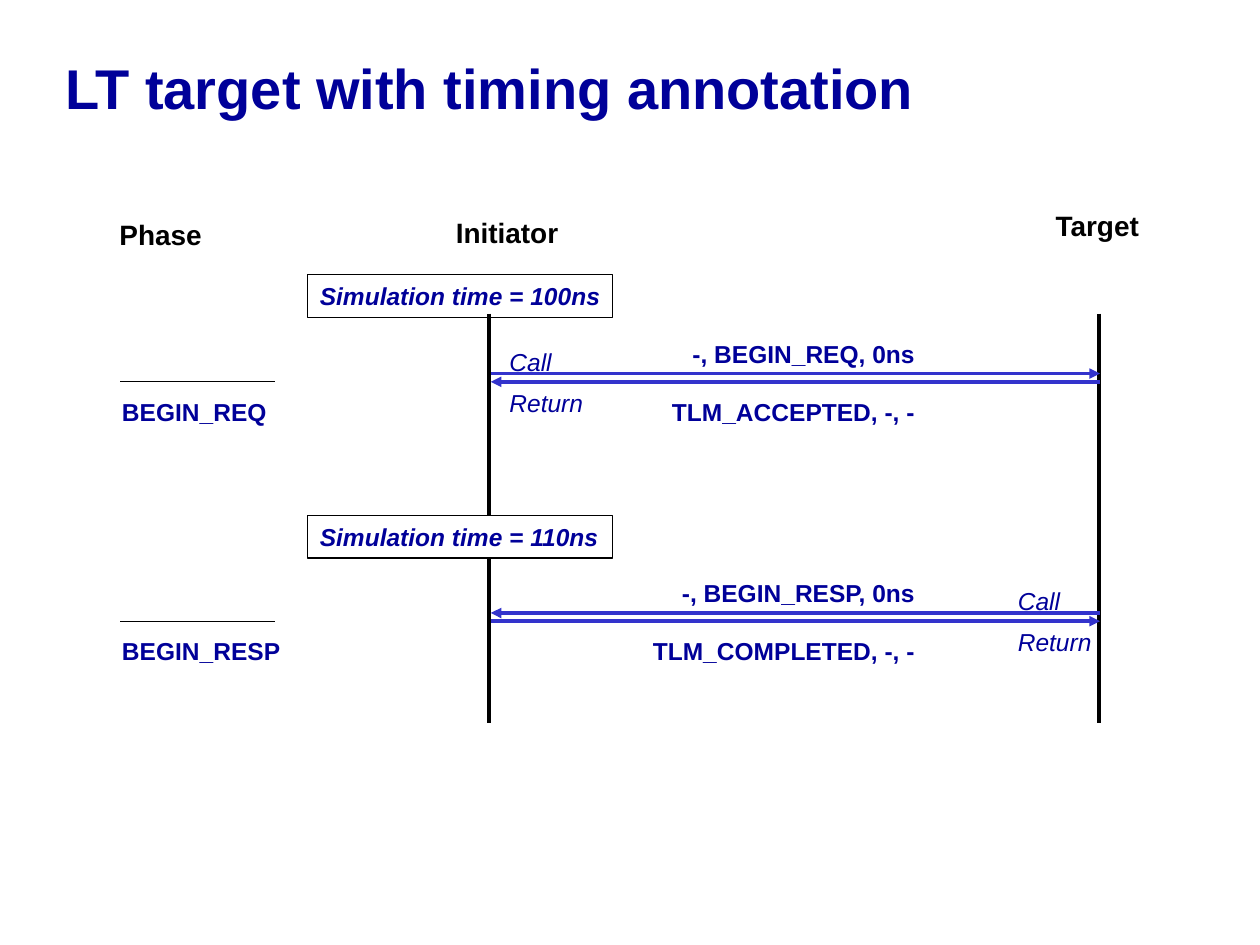
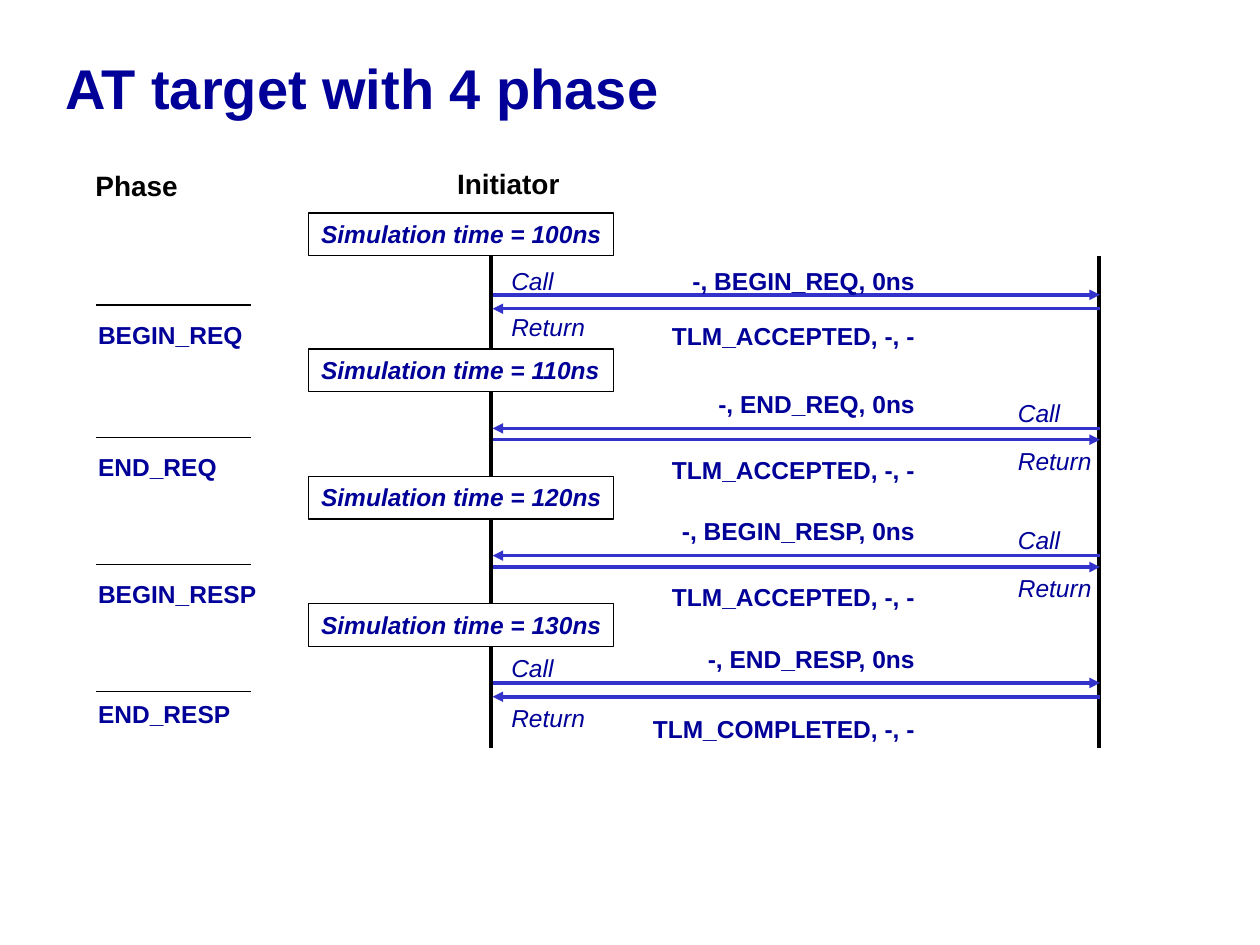
from dataclasses import dataclass

from pptx import Presentation
from pptx.dml.color import RGBColor
from pptx.enum.shapes import MSO_CONNECTOR, MSO_SHAPE
from pptx.enum.text import MSO_ANCHOR, PP_ALIGN
from pptx.oxml.ns import qn
from pptx.oxml.xmlchemy import OxmlElement
from pptx.util import Inches, Pt

NAVY = RGBColor(0x00, 0x00, 0x99)
ARROW_BLUE = RGBColor(0x33, 0x33, 0xCC)
BLACK = RGBColor(0x00, 0x00, 0x00)
WHITE = RGBColor(0xFF, 0xFF, 0xFF)
FONT = "Arial"

# The grid: 100 columns by 75 rows fill the slide.
SLIDE_WIDTH, SLIDE_HEIGHT = Inches(10), Inches(7.5)
COLUMN, ROW = SLIDE_WIDTH / 100, SLIDE_HEIGHT / 75

TARGET_X = 87.2
ARROW_RIGHT = 87.3
TARGET_LABEL_X = 79.8
MESSAGE_RIGHT = 73.6
MESSAGE_WIDTH = 26
RULE_WIDTH = 12.3
TEXT_HEIGHT = 3.4
HEADING_HEIGHT = 3.7


@dataclass
class Exchange:
    """A call with its return; the drops and lifts are rows from an arrow."""
    phase: str
    message: str
    reply: str
    call_y: float
    from_target: bool = False
    gap: float = 0.9
    message_lift: float = 3.6
    call_lift: float = 2.9
    reply_drop: float = 0.7
    return_drop: float = 0
    rule_drop: float = 0.7
    phase_drop: float = 0.7


@dataclass
class Sequence:
    """The places of one diagram, in columns and rows."""
    initiator_x: float
    rule_x: float
    top: float
    bottom: float
    time_x: float


def columns(count):
    return round(count * COLUMN)


def rows(count):
    return round(count * ROW)


def grid_rect(left, top, width, height):
    return columns(left), rows(top), columns(width), rows(height)


def write(frame, text, size=14, color=NAVY, bold=False, italic=False,
          align=PP_ALIGN.LEFT, anchor=MSO_ANCHOR.TOP, wrap=True, spacing=None):
    frame.word_wrap = wrap
    frame.vertical_anchor = anchor
    para = frame.paragraphs[0]
    para.alignment = align
    if spacing:
        para.line_spacing = spacing
    span = para.add_run()
    span.text = text
    font = span.font
    font.name, font.size, font.bold, font.italic = FONT, Pt(size), bold, italic
    font.color.rgb = color


def add_text(page, text, left, top, width, height=TEXT_HEIGHT, **style):
    box = page.shapes.add_textbox(*grid_rect(left, top, width, height))
    write(box.text_frame, text, **style)


def add_heading(page, text, left, top):
    add_text(page, text, left, top, 13, HEADING_HEIGHT,
             size=16, color=BLACK, bold=True)


def add_line(page, start, end, color=BLACK, weight=0.75, arrow=False):
    line = page.shapes.add_connector(
        MSO_CONNECTOR.STRAIGHT, columns(start[0]), rows(start[1]),
        columns(end[0]), rows(end[1]))
    line.line.color.rgb = color
    line.line.width = Pt(weight)
    properties = line._element.spPr
    if arrow:
        head = OxmlElement("a:tailEnd")
        head.set("type", "triangle")
        properties.find(qn("a:ln")).append(head)
    properties.append(OxmlElement("a:effectLst"))


def add_time(page, nanoseconds, left, top, filled):
    box = page.shapes.add_shape(MSO_SHAPE.RECTANGLE,
                                *grid_rect(left, top, 24.2, TEXT_HEIGHT))
    box.shadow.inherit = False
    if filled:
        box.fill.solid()
        box.fill.fore_color.rgb = WHITE
    else:
        box.fill.background()
    box.line.color.rgb = BLACK
    box.line.width = Pt(0.75)
    write(box.text_frame, f"Simulation time = {nanoseconds}ns",
          bold=True, italic=True, wrap=False)


def add_exchange(page, sequence, exchange):
    call_y = exchange.call_y
    return_y = call_y + exchange.gap
    rule_y = call_y + exchange.rule_drop
    rule_x = sequence.rule_x

    add_line(page, (rule_x + RULE_WIDTH, rule_y), (rule_x, rule_y))
    add_text(page, exchange.phase, rule_x - 0.8, rule_y + exchange.phase_drop,
             16, bold=True)

    caller_x, callee_x = sequence.initiator_x + 0.15, ARROW_RIGHT
    label_x = sequence.initiator_x + 0.65
    if exchange.from_target:
        caller_x, callee_x = callee_x, caller_x
        label_x = TARGET_LABEL_X
    for y, start_x, end_x in ((call_y, caller_x, callee_x),
                              (return_y, callee_x, caller_x)):
        add_line(page, (start_x, y), (end_x, y), ARROW_BLUE, 2, arrow=True)

    for text, top in ((exchange.message, call_y - exchange.message_lift),
                      (exchange.reply, return_y + exchange.reply_drop)):
        add_text(page, text, MESSAGE_RIGHT - MESSAGE_WIDTH, top, MESSAGE_WIDTH,
                 bold=True, align=PP_ALIGN.RIGHT)
    for text, top in (("Call", call_y - exchange.call_lift),
                      ("Return", return_y + exchange.return_drop)):
        add_text(page, text, label_x, top, 9, italic=True)


def add_sequence_page(deck, title, sequence, headings, times, exchanges):
    """Headings are (text, left, top); times are (nanoseconds, top, filled)."""
    page = deck.slides.add_slide(deck.slide_layouts[6])
    add_text(page, title, 4.2, 3, 90, 8.7, size=32, bold=True,
             anchor=MSO_ANCHOR.MIDDLE, spacing=0.85)
    for x in (sequence.initiator_x, TARGET_X):
        add_line(page, (x, sequence.top), (x, sequence.bottom), weight=2.25)
    for heading in headings:
        add_heading(page, *heading)
    for exchange in exchanges:
        add_exchange(page, sequence, exchange)
    for nanoseconds, top, filled in times:
        add_time(page, nanoseconds, sequence.time_x, top, filled)


def main():
    deck = Presentation()
    deck.slide_width, deck.slide_height = SLIDE_WIDTH, SLIDE_HEIGHT

    close_arrows = dict(gap=0.65, message_lift=3.25, call_lift=2.6,
                        rule_drop=0.65)
    add_sequence_page(
        deck, "LT target with timing annotation",
        Sequence(initiator_x=38.8, rule_x=9.5, top=24.9, bottom=57.4,
                 time_x=24.4),
        [("Phase", 8.5, 16.8), ("Initiator", 35.2, 16.6),
         ("Target", 82.8, 16.1)],
        [(100, 21.8, False), (110, 40.9, True)],
        [Exchange("BEGIN_REQ", "-, BEGIN_REQ, 0ns", "TLM_ACCEPTED, -, -",
                  29.65, **close_arrows),
         Exchange("BEGIN_RESP", "-, BEGIN_RESP, 0ns", "TLM_COMPLETED, -, -",
                  48.65, from_target=True, **close_arrows)])

    add_sequence_page(
        deck, "AT target with 4 phase",
        Sequence(initiator_x=38.95, rule_x=7.6, top=20.3, bottom=59.4,
                 time_x=24.5),
        [("Phase", 6.6, 12.9), ("Initiator", 35.3, 12.7)],
        [(100, 16.9, False), (110, 27.7, True),
         (120, 37.8, True), (130, 47.9, True)],
        [Exchange("BEGIN_REQ", "-, BEGIN_REQ, 0ns", "TLM_ACCEPTED, -, -",
                  23.4, gap=1.1, message_lift=2.8, call_lift=2.8,
                  reply_drop=0.5, return_drop=-0.2, rule_drop=0.8),
         Exchange("END_REQ", "-, END_REQ, 0ns", "TLM_ACCEPTED, -, -",
                  34, from_target=True),
         Exchange("BEGIN_RESP", "-, BEGIN_RESP, 0ns", "TLM_ACCEPTED, -, -",
                  44.1, from_target=True),
         Exchange("END_RESP", "-, END_RESP, 0ns", "TLM_COMPLETED, -, -",
                  54.2, gap=1.1, reply_drop=0.9, phase_drop=0.1)])

    deck.save("out.pptx")


if __name__ == "__main__":
    main()
